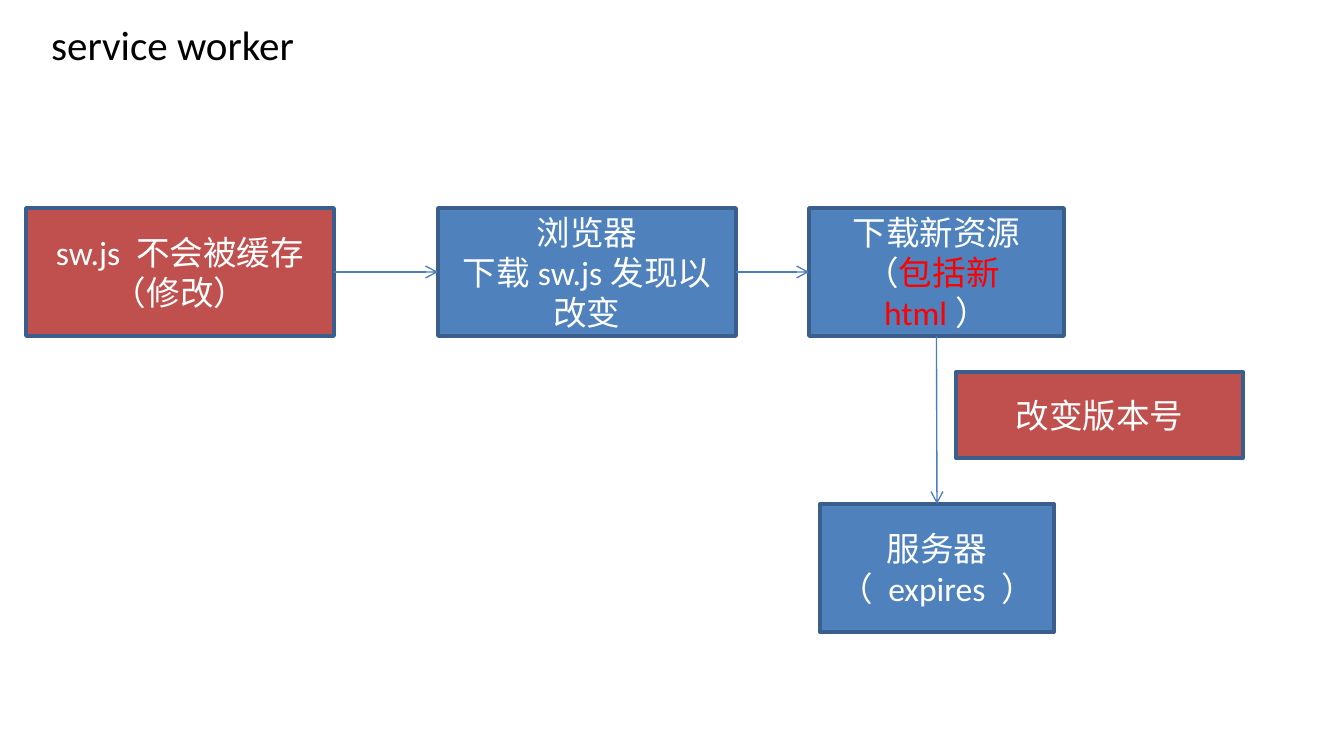
from lxml import etree
from pptx import Presentation
from pptx import util as u
from pptx.dml.color import RGBColor
from pptx.enum import shapes, text
from pptx.oxml.ns import qn

PX_PER_INCH = 134.4
BLUE = RGBColor(0x4F, 0x81, 0xBD)
RED = RGBColor(0xC0, 0x50, 0x4D)
BORDER = RGBColor(0x3A, 0x5F, 0x8C)
ARROW = RGBColor(0x4B, 0x7E, 0xBC)
WHITE = RGBColor(0xFF, 0xFF, 0xFF)
BLACK = RGBColor(0, 0, 0)
HIGHLIGHT = RGBColor(0xFF, 0, 0)

ROW_TOP = 208
STEP_HEIGHT = 128
TOP, LEFT, BOTTOM, RIGHT = range(4)  # connection sites of a rectangle


def px(length):
    return u.Emu(round(length * u.Inches(1) / PX_PER_INCH))


def write_text(shape, paragraphs, size=18, color=WHITE,
               align=text.PP_ALIGN.CENTER):
    """Fill a shape; each paragraph is a list of (words, color or None) runs."""
    frame = shape.text_frame
    frame.word_wrap = True
    frame.vertical_anchor = text.MSO_ANCHOR.MIDDLE
    for index, runs in enumerate(paragraphs):
        paragraph = frame.add_paragraph() if index else frame.paragraphs[0]
        paragraph.alignment = align
        for words, run_color in runs:
            run = paragraph.add_run()
            run.text = words
            run.font.name = "Calibri"
            run.font.size = u.Pt(size)
            run.font.color.rgb = run_color or color


def add_title(slide, words):
    title = slide.shapes.add_textbox(px(38), px(0), px(1077), px(89))
    write_text(title, [[(words, None)]], size=22, color=BLACK,
               align=text.PP_ALIGN.LEFT)


def add_box(slide, left, top, width, height, fill, paragraphs):
    box = slide.shapes.add_shape(shapes.MSO_SHAPE.RECTANGLE,
                                 px(left), px(top), px(width), px(height))
    box.shadow.inherit = False
    box.fill.solid()
    box.fill.fore_color.rgb = fill
    box.line.color.rgb = BORDER
    box.line.width = u.Pt(2)
    write_text(box, paragraphs)
    return box


def add_arrow(slide, start, start_site, end, end_site):
    arrow = slide.shapes.add_connector(shapes.MSO_CONNECTOR.STRAIGHT, 0, 0, 0, 0)
    arrow.begin_connect(start, start_site)
    arrow.end_connect(end, end_site)
    arrow.line.color.rgb = ARROW
    arrow.line.width = u.Pt(0.75)
    line = arrow.line._get_or_add_ln()
    etree.SubElement(line, qn("a:tailEnd"), type="arrow")
    etree.SubElement(arrow._element.spPr, qn("a:effectLst"))


def main():
    deck = Presentation()
    deck.slide_width, deck.slide_height = px(1344), px(756)
    slide = deck.slides.add_slide(deck.slide_layouts[6])

    add_title(slide, "service worker")
    worker = add_box(slide, 26, ROW_TOP, 308, STEP_HEIGHT, RED,
                     [[("sw.js 不会被缓存", None)], [("（修改）", None)]])
    browser = add_box(slide, 438, ROW_TOP, 298, STEP_HEIGHT, BLUE,
                      [[("浏览器", None)], [("下载sw.js发现以改变", None)]])
    resources = add_box(slide, 809, ROW_TOP, 255, STEP_HEIGHT, BLUE,
                        [[("下载新资源（", None), ("包括新html", HIGHLIGHT),
                          ("）", None)]])
    server = add_box(slide, 820, 504, 234, STEP_HEIGHT, BLUE,
                     [[("服务器", None)], [("（ expires ）", None)]])
    add_box(slide, 956, 372, 287, 86, RED, [[("改变版本号", None)]])

    add_arrow(slide, worker, RIGHT, browser, LEFT)
    add_arrow(slide, browser, RIGHT, resources, LEFT)
    add_arrow(slide, resources, BOTTOM, server, TOP)

    deck.save("out.pptx")


if __name__ == "__main__":
    main()
